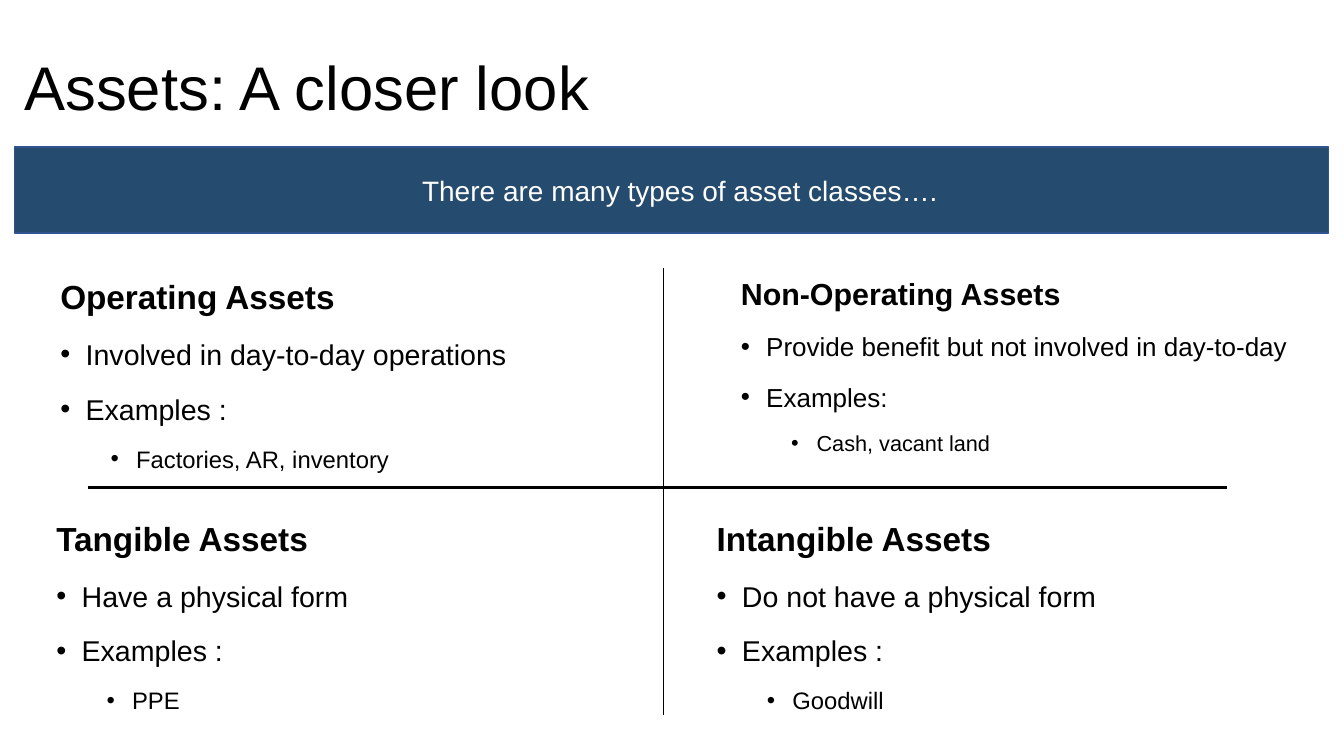
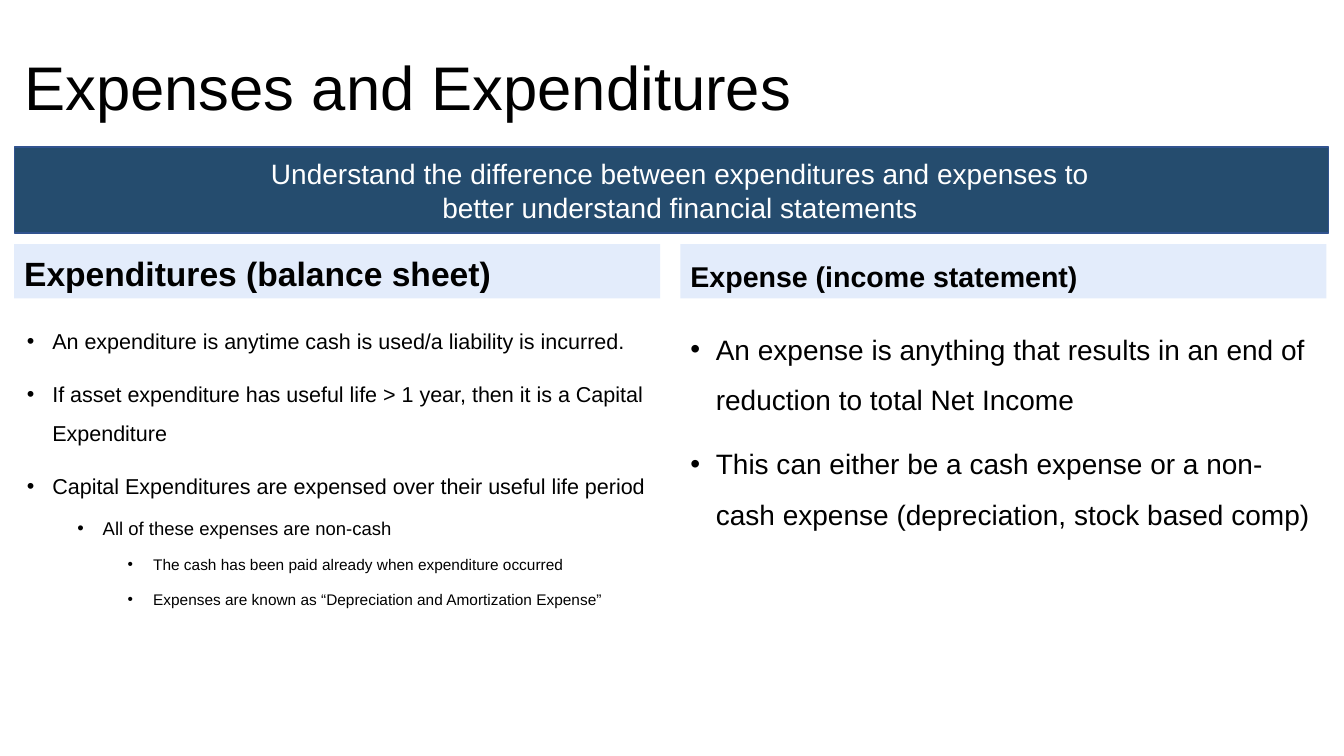
"""Build two accounting slides on assets and on expenses."""
from dataclasses import dataclass

from lxml import etree
from pptx import Presentation
from pptx import util as u
from pptx.dml import color
from pptx.enum import shapes, text
from pptx.oxml import ns

Cm, Pt = u.Cm, u.Pt


@dataclass(frozen=True)
class Theme:
    font: str = "Arial"
    ink: str = "000000"
    white: str = "FFFFFF"
    band: str = "254C6E"
    band_edge: str = "31538F"
    panel: str = "E3ECFB"
    title: float = 44
    banner: float = 20
    large: tuple = (23.8, 20.4, 17)
    medium: tuple = (21.7, 18.6, 15.5)
    small: tuple = (15.4, 13.2, 11)
    statement: tuple = (20,)
    hang: float = 0.64
    step: float = 1.27


class SlideBuilder:
    def __init__(self, deck, theme):
        self.deck, self.theme, self.page = deck, theme, None

    def start(self, title, banner):
        self.page = self.deck.slides.add_slide(self.deck.slide_layouts[5])
        self.panel(0.36, 3.71, 33.12, 2.16, self.theme.band, self.theme.band_edge)
        heading = self.page.shapes.title
        heading.left, heading.top = Cm(0.36), Cm(1.02)
        heading.width, heading.height = Cm(33.12), Cm(2.54)
        frame = self.frame(heading, text.MSO_ANCHOR.MIDDLE)
        self.add_words(frame.paragraphs[0], title, self.theme.title, spacing=0.9)
        frame = self.text_box(5.66, 3.71, 22.96, 2.16, text.MSO_ANCHOR.MIDDLE)
        self.add_words(frame.paragraphs[0], banner, self.theme.banner,
                       ink=self.theme.white, align=text.PP_ALIGN.CENTER)

    def frame(self, shape, anchor):
        frame = shape.text_frame
        frame.word_wrap = True
        frame.auto_size = text.MSO_AUTO_SIZE.NONE
        frame.vertical_anchor = anchor
        return frame

    def text_box(self, left, top, width, height, anchor=text.MSO_ANCHOR.TOP):
        box = self.page.shapes.add_textbox(Cm(left), Cm(top), Cm(width), Cm(height))
        return self.frame(box, anchor)

    def add_words(self, para, words, size, bold=False, ink=None, spacing=1.0,
                  align=text.PP_ALIGN.LEFT):
        para.alignment = align
        para.line_spacing = spacing
        span = para.add_run()
        span.text = words
        span.font.name, span.font.size, span.font.bold = self.theme.font, Pt(size), bold
        span.font.color.rgb = color.RGBColor.from_string(ink or self.theme.ink)

    def panel(self, left, top, width, height, fill, edge=None):
        box = self.page.shapes.add_shape(shapes.MSO_SHAPE.RECTANGLE,
                                         Cm(left), Cm(top), Cm(width), Cm(height))
        box.shadow.inherit = False
        box.fill.solid()
        box.fill.fore_color.rgb = color.RGBColor.from_string(fill)
        if edge:
            box.line.color.rgb = color.RGBColor.from_string(edge)
            box.line.width = Pt(1)
        else:
            box.line.fill.background()
        return box

    def header(self, left, words, size, spacing):
        box = self.panel(left, 6.15, 16.28, 1.37, self.theme.panel)
        frame = self.frame(box, text.MSO_ANCHOR.BOTTOM)
        self.add_words(frame.paragraphs[0], words, size, bold=True, spacing=spacing)

    def bullet(self, para, depth):
        props = para._p.get_or_add_pPr()
        props.set("marL", str(Cm(self.theme.step * depth + self.theme.hang)))
        props.set("indent", str(-Cm(self.theme.hang)))
        tint = etree.SubElement(props, ns.qn("a:buClr"))
        etree.SubElement(tint, ns.qn("a:srgbClr"), val=self.theme.ink)
        etree.SubElement(props, ns.qn("a:buFont"), typeface=self.theme.font)
        etree.SubElement(props, ns.qn("a:buChar"), char="•")

    def bullets(self, frame, items, sizes, spacing):
        for depth, words in items:
            first = not frame.paragraphs[0].runs
            para = frame.paragraphs[0] if first else frame.add_paragraph()
            self.add_words(para, words, sizes[depth], spacing=spacing)
            para.space_before = Pt(0 if first else 5 if depth else 10)
            self.bullet(para, depth)

    def quadrant(self, left, top, heading, items, sizes):
        frame = self.text_box(left, top, 16.33, 5.64)
        para = frame.paragraphs[0]
        self.add_words(para, heading, sizes[0], bold=True, spacing=1.4)
        para._p.get_or_add_pPr().set("marL", str(Cm(self.theme.step)))
        self.bullets(frame, items, sizes, spacing=1.4)

    def rule(self, start, end, weight):
        line = self.page.shapes.add_connector(
            shapes.MSO_CONNECTOR.STRAIGHT, *(Cm(value) for value in start + end))
        line.line.color.rgb = color.RGBColor.from_string(self.theme.ink)
        line.line.width = Pt(weight)
        etree.SubElement(line._element.spPr, ns.qn("a:effectLst"))


def build_assets(builder):
    theme = builder.theme
    builder.start("Assets: A closer look", "There are many types of asset classes….")
    quadrants = [
        (0, 6.43, "Operating Assets", "Involved in day-to-day operations",
         "Examples :", "Factories, AR, inventory", theme.large),
        (17.15, 6.43, "Non-Operating Assets",
         "Provide benefit but not involved in day-to-day",
         "Examples:", "Cash, vacant land", theme.medium),
        (-0.1, 12.52, "Tangible Assets", "Have a physical form",
         "Examples :", "PPE", theme.large),
        (16.54, 12.52, "Intangible Assets", "Do not have a physical form",
         "Examples :", "Goodwill", theme.large),
    ]
    for left, top, heading, meaning, label, examples, sizes in quadrants:
        items = [(1, meaning), (1, label), (2, examples)]
        builder.quadrant(left, top, heading, items, sizes)
    builder.rule((16.71, 6.76), (16.71, 18.01), 0.75)
    builder.rule((2.21, 12.29), (30.91, 12.29), 2.25)


def build_expenses(builder):
    theme = builder.theme
    builder.start("Expenses and Expenditures",
                  "Understand the difference between expenditures and expenses "
                  "to better understand financial statements")
    expenditures = [
        (0, "An expenditure is anytime cash is used/a liability is incurred."),
        (0, "If asset expenditure has useful life > 1 year, "
            "then it is a Capital Expenditure"),
        (0, "Capital Expenditures are expensed over their useful life period"),
        (1, "All of these expenses are non-cash"),
        (2, "The cash has been paid already when expenditure occurred"),
        (2, "Expenses are known as “Depreciation and Amortization Expense”"),
    ]
    expenses = [
        (0, "An expense is anything that results in an end of "
            "reduction to total Net Income"),
        (0, "This can either be a cash expense or a non-cash expense "
            "(depreciation, stock based comp)"),
    ]
    columns = [
        (0.36, 0.43, "Expenditures (balance sheet)", 24, 1.5, expenditures, theme.small),
        (17.15, 17.15, "Expense (income statement)", 20.4, 1.4, expenses,
         theme.statement),
    ]
    for left, body_left, heading, size, spacing, items, sizes in columns:
        builder.header(left, heading, size, spacing)
        frame = builder.text_box(body_left, 7.82, 16.25, 9.37)
        builder.bullets(frame, items, sizes, spacing=1.5)


def main():
    deck = Presentation()
    deck.slide_width, deck.slide_height = Cm(33.87), Cm(19.05)
    builder = SlideBuilder(deck, Theme())
    build_assets(builder)
    build_expenses(builder)
    deck.save("out.pptx")


if __name__ == "__main__":
    main()
